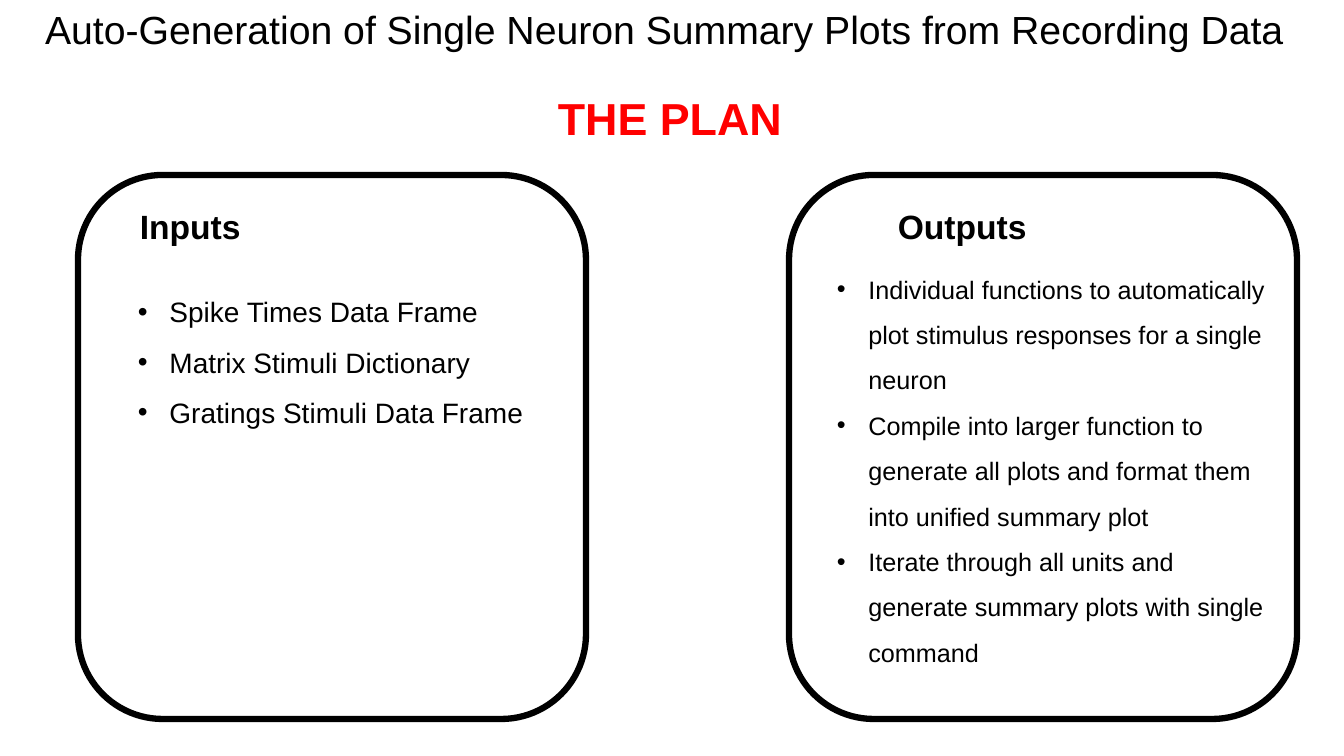
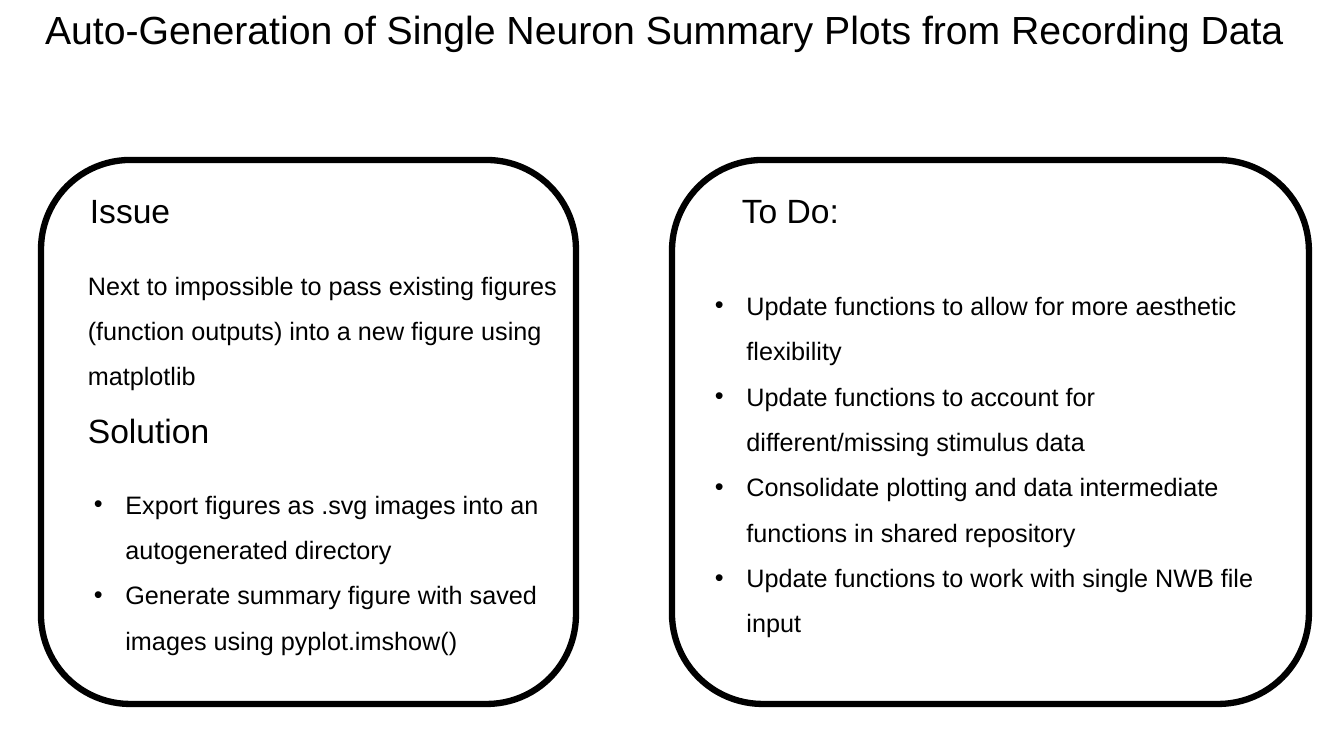
from pptx import Presentation
from pptx import util as u
from pptx.dml.color import RGBColor
from pptx.enum import shapes, text
from lxml import etree

BLACK = RGBColor(0, 0, 0)
RED = RGBColor(255, 0, 0)
FONT = "Arial"
TITLE = "Auto-Generation of Single Neuron Summary Plots from Recording Data"
NS = "http://schemas.openxmlformats.org/drawingml/2006/main"


def px(n):
    return u.Emu(round(n * 914400 / 100.8))


class Deck:
    def __init__(self):
        self.prs = Presentation()
        self.prs.slide_width, self.prs.slide_height = px(1344), px(756)
        self.slide = None

    def page(self):
        layout = self.prs.slide_layouts[5]
        self.slide = self.prs.slides.add_slide(layout)
        head = self.slide.shapes.title
        head.left, head.top, head.width, head.height = map(px, (35, 0, 1274, 57))
        self.fill_text(head, [TITLE], 28, wrap=False)

    def fill_text(self, shape, lines, size, color=BLACK, bold=False, wrap=True):
        frame = shape.text_frame
        frame.text = "\n".join(lines)
        frame.word_wrap = wrap
        frame.auto_size = text.MSO_AUTO_SIZE.SHAPE_TO_FIT_TEXT
        frame.vertical_anchor = text.MSO_ANCHOR.TOP
        for para in frame.paragraphs:
            para.alignment = text.PP_ALIGN.LEFT
            for run in para.runs:
                font = run.font
                font.name, font.size, font.bold = FONT, u.Pt(size), bold
                font.color.rgb = color
        return frame

    def label(self, box, line, size=24, color=BLACK, bold=False):
        shape = self.slide.shapes.add_textbox(*map(px, box))
        self.fill_text(shape, [line], size, color, bold, wrap=False)

    def body(self, box, lines, size=18, dots=True, wrap=True):
        shape = self.slide.shapes.add_textbox(*map(px, box))
        for para in self.fill_text(shape, lines, size, wrap=wrap).paragraphs:
            para.line_spacing = 1.5
            if dots:
                self.dot(para)

    def dot(self, para):
        props = para._p.get_or_add_pPr()
        props.set("marL", str(u.Pt(22.5)))
        props.set("indent", str(-u.Pt(22.5)))
        etree.SubElement(props, f"{{{NS}}}buFont").set("typeface", FONT)
        etree.SubElement(props, f"{{{NS}}}buChar").set("char", "•")

    def panel(self, left, top, width, height=544):
        shape = self.slide.shapes.add_shape(
            shapes.MSO_SHAPE.ROUNDED_RECTANGLE, *map(px, (left, top, width, height)))
        shape.shadow.inherit = False
        shape.fill.background()
        shape.line.color.rgb = BLACK
        shape.line.width = u.Pt(4.5)


deck = Deck()

# The plan: inputs and outputs
deck.page()
deck.label((548, 86, 247, 65), "THE PLAN", 32, RED, bold=True)
deck.label((130, 201, 122, 50), "Inputs", bold=True)
deck.body((128, 273, 408, 156), [
    "Spike Times Data Frame",
    "Matrix Stimuli Dictionary",
    "Gratings Stimuli Data Frame",
], 20, wrap=False)
deck.label((888, 201, 150, 50), "Outputs", bold=True)
deck.body((827, 254, 457, 416), [
    "Individual functions to automatically plot stimulus responses for a single neuron",
    "Compile into larger function to generate all plots and format them "
    "into unified summary plot",
    "Iterate through all units and generate summary plots with single command",
])
for left in (78, 789):
    deck.panel(left, 175, 508)

# Issue, solution and open tasks
deck.page()
deck.label((80, 185, 102, 50), "Issue")
deck.body((78, 250, 499, 142), [
    "Next to impossible to pass existing figures (function outputs) "
    "into a new figure using matplotlib",
], dots=False)
deck.label((78, 405, 143, 50), "Solution")
deck.body((84, 469, 521, 187), [
    "Export figures as .svg images into an autogenerated directory",
    "Generate summary figure with saved images using pyplot.imshow()",
])
deck.label((732, 185, 118, 50), "To Do:")
deck.body((705, 270, 573, 371), [
    "Update functions to allow for more aesthetic flexibility",
    "Update functions to account for different/missing stimulus data",
    "Consolidate plotting and data intermediate functions in shared repository",
    "Update functions to work with single NWB file input",
])
for left, width in ((41, 535), (672, 637)):
    deck.panel(left, 160, width)

deck.prs.save("out.pptx")
